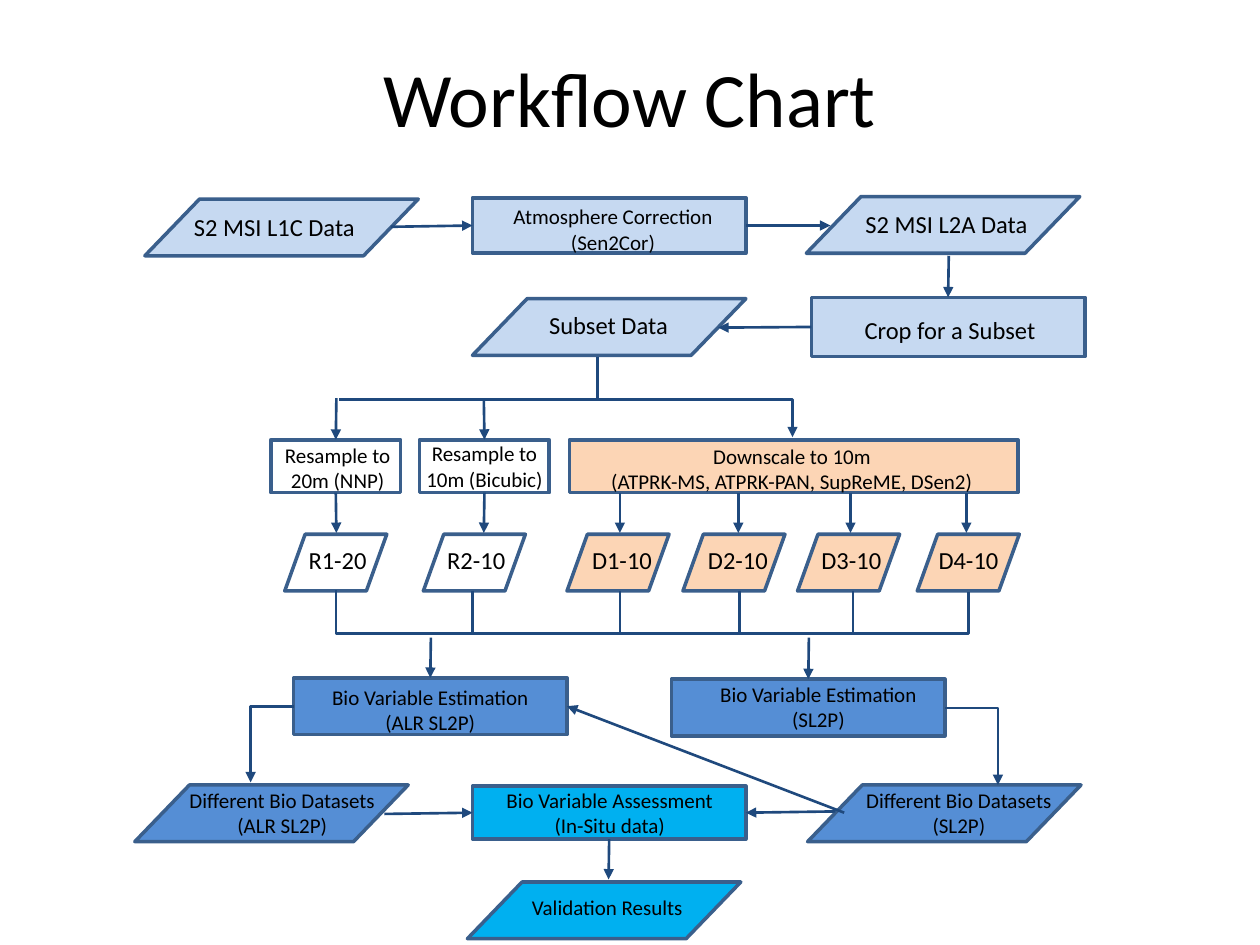
from lxml import etree
from pptx import Presentation
from pptx.dml.color import RGBColor
from pptx.enum.shapes import MSO_CONNECTOR as CONNECTOR, MSO_SHAPE as SHAPE
from pptx.enum.text import MSO_ANCHOR, MSO_AUTO_SIZE, PP_ALIGN
from pptx.oxml.ns import qn
from pptx.util import Inches, Pt

PALE_BLUE = RGBColor(0xC6, 0xD9, 0xF1)
MID_BLUE = RGBColor(0x55, 0x8E, 0xD5)
BRIGHT_BLUE = RGBColor(0x00, 0xB0, 0xF0)
PEACH = RGBColor(0xFC, 0xD5, 0xB5)
WHITE = RGBColor(0xFF, 0xFF, 0xFF)
BLACK = RGBColor(0x00, 0x00, 0x00)
OUTLINE = RGBColor(0x3A, 0x5F, 0x8C)
ARROW = RGBColor(0x1F, 0x49, 0x7D)

PROCESS, DATA = SHAPE.RECTANGLE, SHAPE.FLOWCHART_DATA
TOP, LEFT, BOTTOM, RIGHT = range(4)

presentation = Presentation()
presentation.slide_width = Inches(10)
presentation.slide_height = Inches(7.5)
slide = presentation.slides.add_slide(presentation.slide_layouts[5])


def add_node(kind, box, fill, text, text_box, size=12, align=PP_ALIGN.CENTER, wrap=True):
    shape = slide.shapes.add_shape(kind, *map(Inches, box))
    shape.shadow.inherit = False
    shape.fill.solid()
    shape.fill.fore_color.rgb = fill
    shape.line.color.rgb = OUTLINE
    shape.line.width = Pt(2)
    label = slide.shapes.add_textbox(*map(Inches, text_box))
    frame = label.text_frame
    frame.word_wrap = wrap
    frame.auto_size = MSO_AUTO_SIZE.SHAPE_TO_FIT_TEXT
    frame.text = text
    for paragraph in frame.paragraphs:
        paragraph.alignment = align
        paragraph.font.name = "Calibri"
        paragraph.font.size = Pt(size)
        paragraph.font.color.rgb = BLACK
    return shape


def add_line(start, end, source=None, target=None, arrow=True, kind=CONNECTOR.STRAIGHT):
    connector = slide.shapes.add_connector(kind, *map(Inches, start + end))
    connector.line.color.rgb = ARROW
    connector.line.width = Pt(1.5)
    if source:
        connector.begin_connect(*source)
    if target:
        connector.end_connect(*target)
    if arrow:
        etree.SubElement(connector.line._get_or_add_ln(), qn("a:tailEnd"), type="triangle")
    etree.SubElement(connector._element.spPr, qn("a:effectLst"))
    return connector


title = slide.shapes.title
title.left, title.top, title.width, title.height = map(Inches, (0.5, 0.14, 9, 1.25))
title.text_frame.text = "Workflow Chart"
title.text_frame.vertical_anchor = MSO_ANCHOR.MIDDLE
heading = title.text_frame.paragraphs[0]
heading.alignment = PP_ALIGN.CENTER
heading.font.name = "Calibri"
heading.font.size = Pt(44)
heading.font.color.rgb = BLACK

add_node(DATA, (1.15, 1.58, 2.17, 0.45), PALE_BLUE, "S2 MSI L1C Data",
         (1.44, 1.63, 1.61, 0.34), 14, PP_ALIGN.LEFT)
correction = add_node(PROCESS, (3.75, 1.57, 2.17, 0.44), PALE_BLUE,
                      "Atmosphere Correction (Sen2Cor)", (3.94, 1.57, 1.85, 0.5))
add_node(DATA, (6.4, 1.56, 2.17, 0.45), PALE_BLUE, "S2 MSI L2A Data",
         (6.77, 1.61, 1.64, 0.34), 14, PP_ALIGN.LEFT)
crop = add_node(PROCESS, (6.44, 2.36, 2.17, 0.47), PALE_BLUE, "Crop for a Subset",
                (6.58, 2.45, 1.92, 0.34), 14)
add_node(DATA, (3.75, 2.37, 2.17, 0.45), PALE_BLUE, "Subset Data",
         (4.26, 2.41, 1.2, 0.34), 14, PP_ALIGN.LEFT)

resample_20 = add_node(PROCESS, (2.15, 3.49, 1.03, 0.42), WHITE,
                       "Resample to 20m (NNP)", (2.08, 3.46, 1.2, 0.5))
resample_10 = add_node(PROCESS, (3.33, 3.49, 1.03, 0.42), WHITE,
                       "Resample to 10m (Bicubic)", (3.22, 3.45, 1.25, 0.5))
add_node(PROCESS, (4.52, 3.49, 3.56, 0.42), PEACH,
         "Downscale to 10m\n(ATPRK-MS, ATPRK-PAN, SupReME, DSen2)",
         (4.74, 3.47, 3.09, 0.5))

for name, left, text_left, fill in (
    ("R1-20", 2.26, 2.35, WHITE),
    ("R2-10", 3.36, 3.45, WHITE),
    ("D1-10", 4.5, 4.6, PEACH),
    ("D2-10", 5.42, 5.52, PEACH),
    ("D3-10", 6.33, 6.42, PEACH),
    ("D4-10", 7.28, 7.35, PEACH),
):
    add_node(DATA, (left, 4.24, 0.81, 0.45), fill, name,
             (text_left, 4.28, 0.68, 0.34), 14, PP_ALIGN.LEFT, False)

alr_estimation = add_node(PROCESS, (2.33, 5.38, 2.17, 0.45), MID_BLUE,
                          "Bio Variable Estimation (ALR SL2P)", (2.44, 5.38, 1.95, 0.5))
estimation = add_node(PROCESS, (5.33, 5.39, 2.17, 0.45), MID_BLUE,
                      "Bio Variable Estimation (SL2P)", (5.52, 5.36, 1.95, 0.5))
add_node(DATA, (1.07, 6.23, 2.17, 0.45), MID_BLUE,
         "Different Bio Datasets\n(ALR SL2P)", (1.33, 6.2, 1.82, 0.5))
assessment = add_node(PROCESS, (3.75, 6.24, 2.17, 0.42), BRIGHT_BLUE,
                      "Bio Variable Assessment (In-Situ data)", (3.79, 6.2, 2.1, 0.5))
add_node(DATA, (6.41, 6.23, 2.17, 0.45), MID_BLUE,
         "Different Bio Datasets\n(SL2P)", (6.7, 6.2, 1.82, 0.5))
add_node(DATA, (3.71, 7, 2.17, 0.45), BRIGHT_BLUE, "Validation Results",
         (3.91, 7.05, 1.82, 0.3))

for start, end, source, target in (
    ((3.1, 1.8), (3.75, 1.79), None, (correction, LEFT)),
    ((5.92, 1.79), (6.59, 1.79), (correction, RIGHT), None),
    ((7.53, 2.03), (7.53, 2.36), None, (crop, TOP)),
    ((6.44, 2.6), (5.7, 2.6), (crop, LEFT), None),
    ((2.67, 3.16), (2.67, 3.49), None, (resample_20, TOP)),
    ((3.84, 3.17), (3.84, 3.49), None, (resample_10, TOP)),
    ((2.67, 3.91), (2.67, 4.23), (resample_20, BOTTOM), None),
    ((3.84, 3.91), (3.84, 4.23), (resample_10, BOTTOM), None),
    ((3.42, 5.06), (3.42, 5.38), None, (alr_estimation, TOP)),
    ((6.42, 5.06), (6.42, 5.39), None, (estimation, TOP)),
    ((6.7, 6.45), (4.5, 5.61), None, (alr_estimation, RIGHT)),
    ((3.05, 6.46), (3.75, 6.45), None, (assessment, LEFT)),
    ((6.63, 6.44), (5.92, 6.45), None, (assessment, RIGHT)),
    ((4.83, 6.66), (4.83, 6.98), (assessment, BOTTOM), None),
):
    add_line(start, end, source, target)

for x in (4.92, 5.86, 6.75, 7.67):
    add_line((x, 3.91), (x, 4.23))

add_line((4.74, 2.83), (4.74, 3.17), arrow=False)
for x in (3.75, 4.92, 5.87, 6.77):
    add_line((x, 4.69), (x, 5.04), arrow=False)

for start, end in (
    ((2.69, 3.17), (6.29, 3.47)),
    ((2.33, 5.61), (1.99, 6.21)),
    ((7.5, 5.62), (7.92, 6.23)),
):
    corner = add_line(start, end, kind=CONNECTOR.ELBOW)
    corner._element.spPr.find(qn("a:prstGeom")).set("prst", "bentConnector2")

collector = add_line((5.18, 2.18), (5.17, 7.2), arrow=False, kind=CONNECTOR.ELBOW)
properties = collector._element.spPr
properties.find(qn("a:xfrm")).set("rot", "16200000")
adjustments = properties.find(qn("a:prstGeom")).get_or_add_avLst()
etree.SubElement(adjustments, qn("a:gd"), name="adj1", fmla="val 3500000")

presentation.save("out.pptx")
